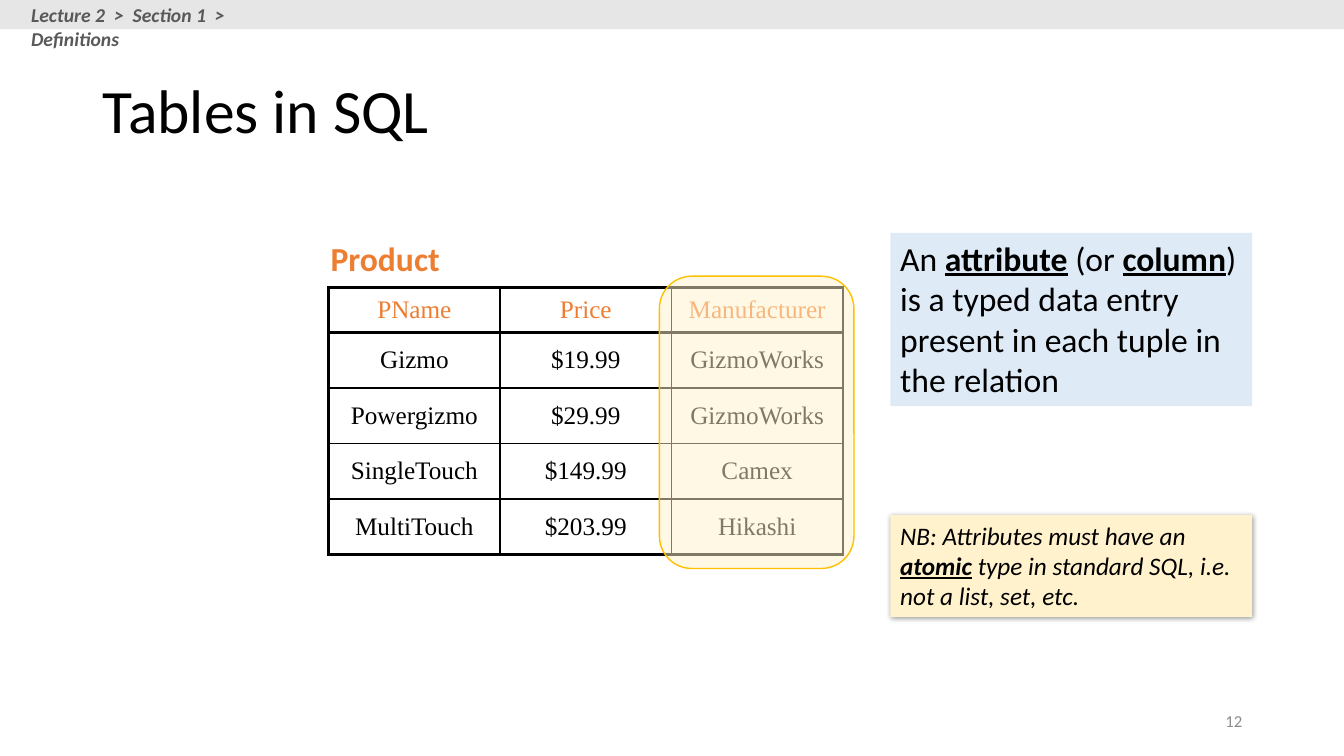
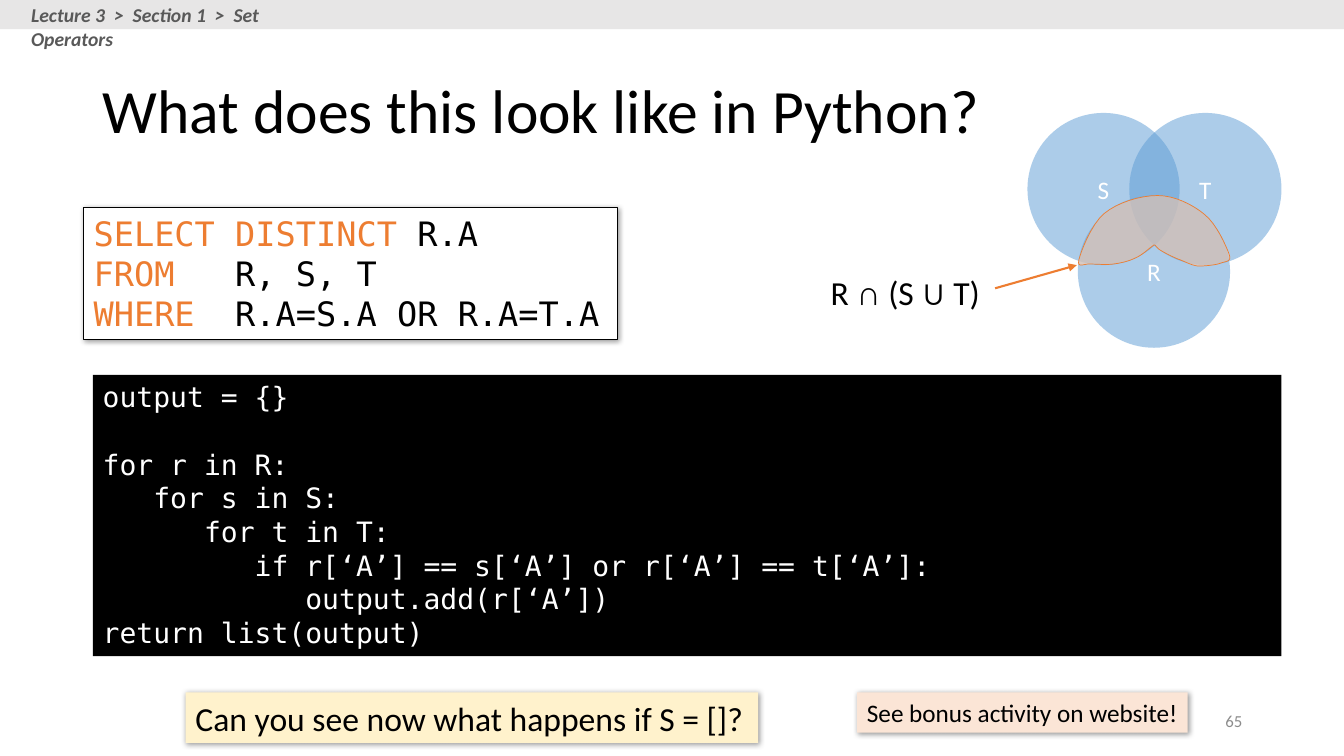
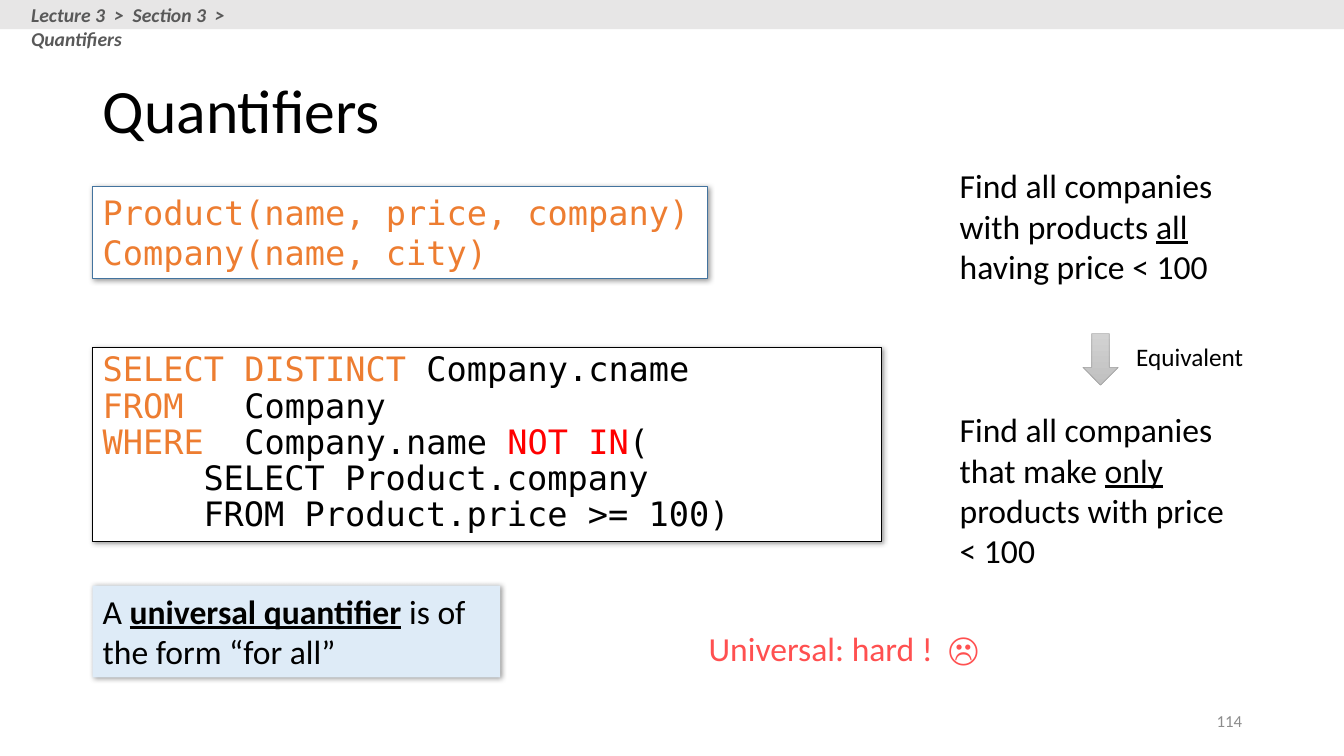
from dataclasses import dataclass, replace

from lxml.etree import SubElement
from pptx import Presentation
from pptx.dml.color import RGBColor
from pptx.enum.shapes import MSO_CONNECTOR as Connector, MSO_SHAPE as Preset
from pptx.enum.text import MSO_ANCHOR as Anchor, MSO_AUTO_SIZE as AutoSize, PP_ALIGN as Align
from pptx.oxml.ns import qn
from pptx.util import Inches, Pt


@dataclass(frozen=True)
class Style:
    size: float
    color: str = "000000"
    font: str = "Calibri"
    bold: bool = False
    italic: bool = False
    underline: bool = False


@dataclass(frozen=True)
class Theme:
    black: str = "000000"
    white: str = "FFFFFF"
    orange: str = "ED7D31"
    red: str = "FF0000"
    coral: str = "FF5050"
    band: str = "E7E6E6"
    blue: str = "5B9BD5"
    blue_line: str = "43739E"
    pale_blue: str = "DEEBF7"
    pale_yellow: str = "FFF2CC"
    gold: str = "FFC000"
    pale_orange: str = "FBE5D6"
    peach: str = "F8CBAD"
    gray: str = "A5A5A5"
    gray_top: str = "D2D2D2"
    gray_bottom: str = "C0C0C0"
    title: Style = Style(44)
    body: Style = Style(24)
    small: Style = Style(18)
    sql: Style = Style(24, font="DejaVu Sans Mono")
    python: Style = Style(20, "FFFFFF", "DejaVu Sans Mono")
    cell: Style = Style(18, font="Times New Roman")
    circle: Style = Style(18, "FFFFFF")
    crumb: Style = Style(14, "595959", bold=True, italic=True)
    number: Style = Style(12, "8C8C8C")


THEME = Theme()
KEYWORD = {"color": THEME.orange}
TERM = {"bold": True, "underline": True}
UNDERLINED = {"underline": True}
SYMBOL = {"font": "Arial"}


def rgb(color):
    return RGBColor.from_string(color)


def inches(at):
    return [Inches(value) for value in at]


def format_run(run, style):
    font = run.font
    font.name, font.size = style.font, Pt(style.size)
    font.bold, font.italic, font.underline = style.bold, style.italic, style.underline
    font.color.rgb = rgb(style.color)


def set_blank_line(paragraph, style):
    end = SubElement(paragraph._p, qn("a:endParaRPr"), sz=str(style.size * 100))
    SubElement(end, qn("a:latin"), typeface=style.font)


def write(text_frame, lines, style, align=Align.LEFT, spacing=None, tab=None):
    for index, parts in enumerate(lines):
        paragraph = text_frame.add_paragraph() if index else text_frame.paragraphs[0]
        paragraph.alignment = align
        if spacing:
            paragraph.line_spacing = spacing
        if tab:
            stops = SubElement(paragraph._p.get_or_add_pPr(), qn("a:tabLst"))
            SubElement(stops, qn("a:tab"), pos=str(Inches(tab)), algn="l")
        if not parts:
            set_blank_line(paragraph, style)
        for part in [parts] if isinstance(parts, str) else parts:
            text, changes = (part, {}) if isinstance(part, str) else part
            run = paragraph.add_run()
            run.text = text
            format_run(run, replace(style, **changes))


def set_alpha(shape, percent):
    color = shape._element.spPr.find(qn("a:solidFill"))[0]
    SubElement(color, qn("a:alpha"), val=str(percent * 1000))


def add_shadow(shape):
    effects = shape._element.spPr.find(qn("a:effectLst"))
    outer = SubElement(effects, qn("a:outerShdw"), blurRad=str(Pt(4)), dist=str(Pt(1)),
                       dir="2700000", algn="tl", rotWithShape="0")
    color = SubElement(outer, qn("a:srgbClr"), val=THEME.black)
    SubElement(color, qn("a:alpha"), val="40000")


def paint(shape, fill, line=None, width=0.75, alpha=None):
    shape.shadow.inherit = False
    shape.fill.solid()
    shape.fill.fore_color.rgb = rgb(fill)
    if alpha:
        set_alpha(shape, alpha)
    if line:
        shape.line.color.rgb = rgb(line)
        shape.line.width = Pt(width)
    else:
        shape.line.fill.background()


def add_panel(slide, at, fill, line=None, preset=Preset.RECTANGLE, **look):
    shape = slide.shapes.add_shape(preset, *inches(at))
    paint(shape, fill, line, **look)
    return shape


def fill_frame(shape, lines, style, wrap=True, anchor=Anchor.TOP, **layout):
    text_frame = shape.text_frame
    text_frame.word_wrap = wrap
    text_frame.auto_size = AutoSize.NONE if wrap else AutoSize.SHAPE_TO_FIT_TEXT
    text_frame.vertical_anchor = anchor
    write(text_frame, lines, style, **layout)


def add_text(slide, at, lines, style, **layout):
    fill_frame(slide.shapes.add_textbox(*inches(at)), lines, style, **layout)


def add_box(slide, at, lines, style, fill, line=None, shadow=True, **layout):
    shape = add_panel(slide, at, fill, line)
    if shadow:
        add_shadow(shape)
    fill_frame(shape, lines, style, **layout)


def add_slide(presentation, title, crumb, number):
    slide = presentation.slides.add_slide(presentation.slide_layouts[5])
    heading = slide.shapes.title
    heading.left, heading.top, heading.width, heading.height = inches((0.92, 0.4, 11.5, 1.45))
    fill_frame(heading, [title], THEME.title, anchor=Anchor.MIDDLE, spacing=0.9)
    add_panel(slide, (0, 0, 13.33, 0.29), THEME.band)
    add_text(slide, (0.21, -0.02, 2.75, 0.34), [crumb], THEME.crumb)
    add_text(slide, (9.42, 6.95, 3, 0.4), [number], THEME.number,
             anchor=Anchor.MIDDLE, align=Align.RIGHT)
    return slide


def set_borders(cell, widths):
    properties = cell._tc.get_or_add_tcPr()
    for side, width in zip("LRTB", widths):
        line = SubElement(properties, qn(f"a:ln{side}"), w=str(Pt(width)))
        fill = SubElement(line, qn("a:solidFill"))
        SubElement(fill, qn("a:srgbClr"), val=THEME.black)


def add_grid(slide, left, top, column_width, row_heights, rows):
    thick, thin = 2.25, 1
    last_row, last_column = len(rows) - 1, len(rows[0]) - 1
    frame = slide.shapes.add_table(len(rows), len(rows[0]), *inches(
        (left, top, column_width * len(rows[0]), sum(row_heights))))
    table = frame.table
    table.first_row = table.horz_banding = False
    for column in table.columns:
        column.width = Inches(column_width)
    for r, values in enumerate(rows):
        table.rows[r].height = Inches(row_heights[r])
        for c, value in enumerate(values):
            cell = table.cell(r, c)
            heavy = (c == 0, c == last_column, r <= 1, r in (0, last_row))
            set_borders(cell, [thick if side else thin for side in heavy])
            cell.fill.background()
            cell.vertical_anchor = Anchor.MIDDLE
            style = THEME.cell if r else replace(THEME.cell, **KEYWORD)
            write(cell.text_frame, [value], style, align=Align.CENTER)


def add_arrow(slide, start, end):
    arrow = slide.shapes.add_connector(Connector.STRAIGHT, *inches(start + end))
    arrow.line.color.rgb = rgb(THEME.orange)
    arrow.line.width = Pt(1.5)
    SubElement(arrow.line._get_or_add_ln(), qn("a:tailEnd"), type="triangle")
    SubElement(arrow._element.spPr, qn("a:effectLst"))


def bezier_points(start, curves, steps=8):
    points = []
    for first, second, end in curves:
        for step in range(1, steps + 1):
            t = step / steps
            weights = ((1 - t) ** 3, 3 * t * (1 - t) ** 2, 3 * t * t * (1 - t), t ** 3)
            corners = (start, first, second, end)
            points.append(tuple(Inches(sum(w * p[axis] for w, p in zip(weights, corners)))
                                for axis in (0, 1)))
        start = end
    return points


def add_overlap(slide):
    start = (10.7, 2.58)
    curves = [
        ((10.72, 2.5), (10.82, 2.23), (10.95, 2.12)),
        ((11.08, 2.01), (11.31, 1.94), (11.48, 1.94)),
        ((11.65, 1.94), (11.83, 2.03), (11.95, 2.13)),
        ((12.07, 2.23), (12.16, 2.44), (12.19, 2.52)),
        ((12.22, 2.6), (12.16, 2.59), (12.11, 2.61)),
        ((12.06, 2.63), (11.95, 2.64), (11.88, 2.64)),
        ((11.82, 2.63), (11.78, 2.61), (11.71, 2.58)),
        ((11.65, 2.56), (11.53, 2.5), (11.49, 2.47)),
        ((11.44, 2.42), (11.46, 2.42), (11.42, 2.45)),
        ((11.39, 2.47), (11.33, 2.53), (11.26, 2.56)),
        ((11.2, 2.59), (11.12, 2.61), (11.04, 2.62)),
        ((10.97, 2.63), (10.88, 2.62), (10.82, 2.62)),
        ((10.76, 2.61), (10.68, 2.67), start),
    ]
    builder = slide.shapes.build_freeform(*inches(start))
    builder.add_line_segments(bezier_points(start, curves), close=True)
    paint(builder.convert_to_shape(), THEME.peach, THEME.orange, 0.5, alpha=60)


def add_venn(slide):
    add_text(slide, (8.14, 2.65, 1.72, 0.5),
             [["R ", ("∩", SYMBOL), " (S ", ("∪", SYMBOL), " T)"]], THEME.body, wrap=False)
    diameter = 1.51
    for name, left, top in (("S", 10.19, 1.12), ("T", 11.2, 1.12), ("R", 10.69, 1.94)):
        circle = add_panel(slide, (left, top, diameter, diameter), THEME.blue,
                           preset=Preset.OVAL, alpha=50)
        fill_frame(circle, [name], THEME.circle, anchor=Anchor.MIDDLE, align=Align.CENTER)
    add_arrow(slide, (9.87, 2.86), (10.68, 2.63))
    add_overlap(slide)


def add_down_arrow(slide, at):
    arrow = add_panel(slide, at, THEME.gray, THEME.gray, Preset.DOWN_ARROW, width=0.5)
    arrow.fill.gradient()
    arrow.fill.gradient_angle = 270
    for stop, color in zip(arrow.fill.gradient_stops, (THEME.gray_top, THEME.gray_bottom)):
        stop.color.rgb = rgb(color)


def build_tables_slide(presentation):
    slide = add_slide(presentation, "Tables in SQL",
                      "Lecture 2  >  Section 1  >  Definitions", "12")
    add_grid(slide, 3.26, 2.85, 1.7, [0.45] + [0.55] * 4, [
        ("PName", "Price", "Manufacturer"),
        ("Gizmo", "$19.99", "GizmoWorks"),
        ("Powergizmo", "$29.99", "GizmoWorks"),
        ("SingleTouch", "$149.99", "Camex"),
        ("MultiTouch", "$203.99", "Hikashi"),
    ])
    add_text(slide, (3.18, 2.31, 1.3, 0.5), ["Product"],
             replace(THEME.body, color=THEME.orange, bold=True), wrap=False)
    add_panel(slide, (6.54, 2.74, 1.93, 2.9), THEME.pale_yellow, THEME.gold,
              Preset.ROUNDED_RECTANGLE, width=1, alpha=50)
    add_box(slide, (8.83, 2.31, 3.59, 1.72),
            [["An ", ("attribute", TERM), " (or ", ("column", TERM),
              ") is a typed data entry present in each tuple in the relation"]],
            THEME.body, THEME.pale_blue, shadow=False)
    add_box(slide, (8.83, 5.11, 3.59, 1.01),
            [["NB: Attributes must have an ", ("atomic", TERM),
              " type in standard SQL, i.e. not a list, set, etc."]],
            replace(THEME.small, italic=True), THEME.pale_yellow)


def build_python_slide(presentation):
    slide = add_slide(presentation, "What does this look like in Python?",
                      "Lecture 3  >  Section 1  >  Set Operators", "65")
    add_box(slide, (0.83, 2.06, 5.29, 1.31), [
        [("SELECT DISTINCT ", KEYWORD), "R.A"],
        [("FROM", KEYWORD), "   R, S, T"],
        [("WHERE  ", KEYWORD), "R.A=S.A OR R.A=T.A"],
    ], THEME.sql, THEME.white, THEME.black, wrap=False)
    add_venn(slide)
    add_box(slide, (0.92, 3.72, 11.79, 2.79), [
        "output = {}",
        [],
        "for r in R:",
        "   for s in S:",
        "      for t in T:",
        "         if r[‘A’] == s[‘A’] or r[‘A’] == t[‘A’]:",
        "            output.add(r[‘A’])",
        "return list(output)",
    ], THEME.python, THEME.black, shadow=False)
    add_box(slide, (1.84, 6.87, 5.68, 0.5), ["Can you see now what happens if S = []?"],
            THEME.body, THEME.pale_yellow, wrap=False)
    add_box(slide, (8.5, 6.87, 3.28, 0.4), ["See bonus activity on website!"],
            THEME.small, THEME.pale_orange, wrap=False)


def build_quantifiers_slide(presentation):
    slide = add_slide(presentation, "Quantifiers",
                      "Lecture 3  >  Section 3  >  Quantifiers", "114")
    add_box(slide, (0.92, 1.85, 6.1, 0.91),
            ["Product(name, price, company)", "Company(name, city)"],
            replace(THEME.sql, **KEYWORD), THEME.white, THEME.blue_line, wrap=False)
    add_text(slide, (9.42, 1.59, 3, 1.31),
             [["Find all companies with products ", ("all", UNDERLINED),
               " having price < 100"]], THEME.body)
    add_box(slide, (0.92, 3.45, 7.82, 1.92), [
        [("SELECT DISTINCT ", KEYWORD), "Company.cname"],
        [("FROM   ", KEYWORD), "Company"],
        [("WHERE  ", KEYWORD), "Company.name ", ("NOT IN", {"color": THEME.red}), "("],
        "\tSELECT Product.company",
        "\tFROM Product.price >= 100)",
    ], THEME.sql, THEME.white, THEME.black, spacing=0.9, tab=1)
    add_box(slide, (0.92, 5.81, 4.04, 0.91),
            [["A ", ("universal quantifier", TERM), " is of the form “for all”"]],
            THEME.body, THEME.pale_blue)
    add_text(slide, (6.93, 6.18, 2.9, 0.5), ["Universal: hard !  ☹"],
             replace(THEME.body, color=THEME.coral), wrap=False)
    add_text(slide, (9.42, 4.01, 3, 1.72),
             [["Find all companies that make ", ("only ", UNDERLINED),
               "products with price < 100"]], THEME.body)
    add_down_arrow(slide, (10.74, 3.31, 0.35, 0.51))
    add_text(slide, (11.17, 3.34, 1.28, 0.4), ["Equivalent"], THEME.small, wrap=False)


def main():
    presentation = Presentation()
    presentation.slide_width, presentation.slide_height = inches((13.33, 7.5))
    build_tables_slide(presentation)
    build_python_slide(presentation)
    build_quantifiers_slide(presentation)
    presentation.save("out.pptx")


if __name__ == "__main__":
    main()
